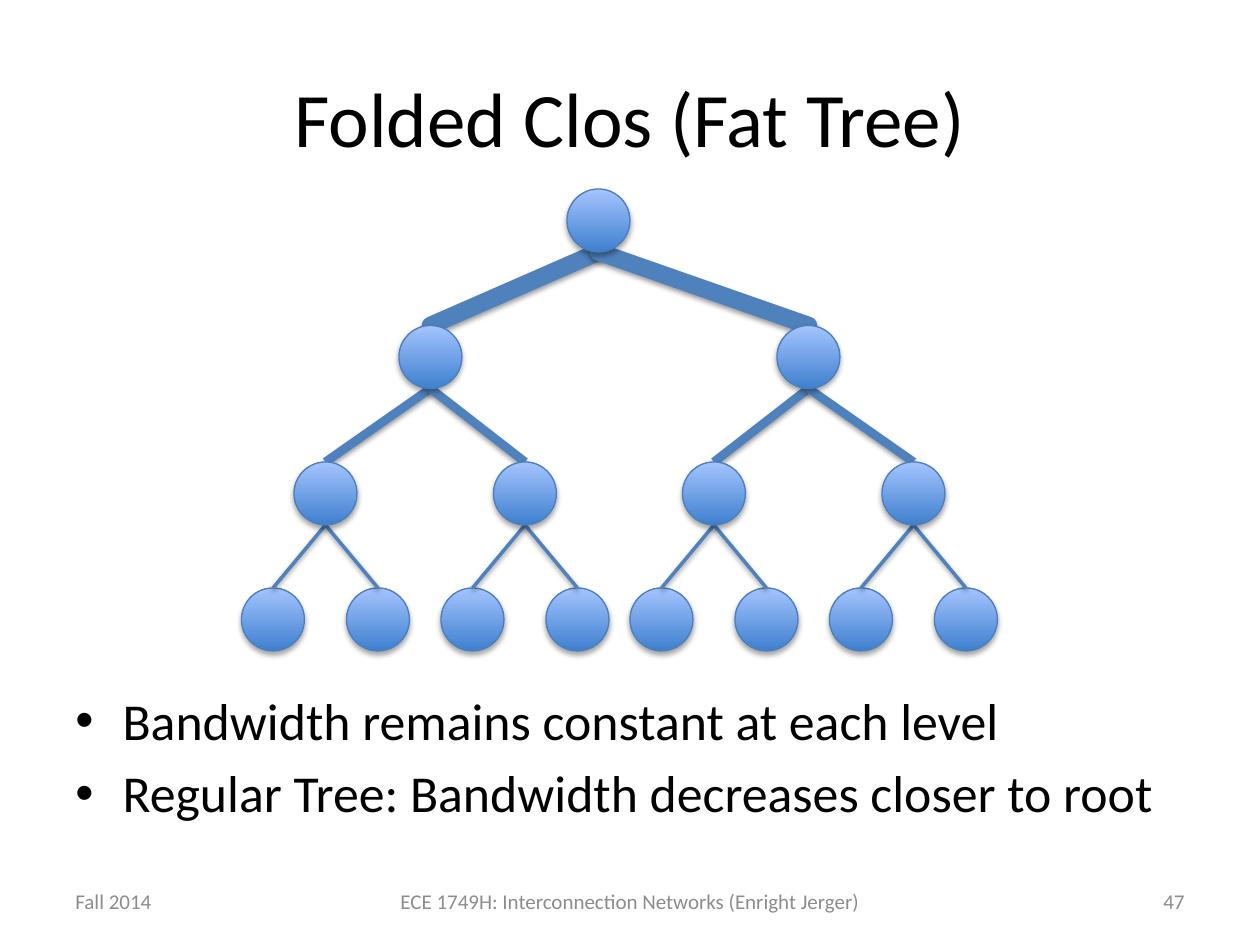
from lxml import etree
from pptx import Presentation
from pptx import util as u
from pptx.dml.color import RGBColor
from pptx.enum import shapes, text
from pptx.oxml import ns

BLACK = RGBColor(0x00, 0x00, 0x00)
GREY = RGBColor(0x8C, 0x8C, 0x8C)
NODE_DARK = RGBColor(0x3F, 0x80, 0xCE)
NODE_LIGHT = RGBColor(0xA4, 0xC4, 0xFF)
NODE_LINE = RGBColor(0x4B, 0x7E, 0xBC)
LINK = RGBColor(0x4F, 0x81, 0xBD)
FONT = "Calibri"
NODE = 36


def add_text(tf, content, size=12, color=BLACK, align=text.PP_ALIGN.LEFT, first=True):
    p = tf.paragraphs[0] if first else tf.add_paragraph()
    p.alignment = align
    r = p.add_run()
    r.text = content
    r.font.size, r.font.name = u.Pt(size), FONT
    r.font.color.rgb = color
    return p


def add_box(s, box, anchor):
    tf = s.shapes.add_textbox(*map(u.Pt, box)).text_frame
    tf.word_wrap = True
    tf.vertical_anchor = anchor
    return tf


def add_shadow(sp, distance, alpha):
    effects = etree.SubElement(sp._element.spPr, ns.qn("a:effectLst"))
    shadow = etree.SubElement(
        effects, ns.qn("a:outerShdw"), blurRad=str(u.Pt(3.1)),
        dist=str(u.Pt(distance)), dir="5400000", rotWithShape="0")
    color = etree.SubElement(shadow, ns.qn("a:srgbClr"), val=str(BLACK))
    etree.SubElement(color, ns.qn("a:alpha"), val=str(alpha * 1000))


def add_node(s, center, top):
    sp = s.shapes.add_shape(
        shapes.MSO_SHAPE.OVAL, u.Pt(center - NODE / 2), u.Pt(top), u.Pt(NODE), u.Pt(NODE))
    sp.fill.gradient()
    sp.fill.gradient_angle = 90
    for stop, position, color in zip(sp.fill.gradient_stops, (0, 1), (NODE_DARK, NODE_LIGHT)):
        stop.position = position
        stop.color.rgb = color
    sp.line.color.rgb = NODE_LINE
    sp.line.width = u.Pt(0.75)
    add_shadow(sp, 1.8, 35)


def add_link(s, child, parent, width):
    (x1, y1), (x2, y2) = child, parent
    c = s.shapes.add_connector(
        shapes.MSO_CONNECTOR.STRAIGHT, u.Pt(x1), u.Pt(y1), u.Pt(x2), u.Pt(y2 + NODE))
    c.line.color.rgb = LINK
    c.line.width = u.Pt(width)
    if width == 10:
        c.line._get_or_add_ln().set("cap", "rnd")
    add_shadow(c, 1.6, 38)


def add_tree(s, box):
    left, top, _, _ = box
    inner = (48, 162, 270, 384)
    centers = [(204,), (108, 324), inner, [x + d for x in inner for d in (-30, 30)]]
    levels = [[(left + x, top + y) for x in row]
              for row, y in zip(centers, (0, 78, 156, 228))]
    for leaf in levels[-1]:
        add_node(s, *leaf)
    for depth, width in ((3, 2), (2, 5), (1, 10)):
        for i, child in enumerate(levels[depth]):
            add_link(s, child, levels[depth - 1][i // 2], width)
    for level in levels[:-1]:
        for node in level:
            add_node(s, *node)


def add_title(s, box):
    sp = s.shapes.title
    sp.left, sp.top, sp.width, sp.height = map(u.Pt, box)
    sp.text_frame.vertical_anchor = text.MSO_ANCHOR.MIDDLE
    add_text(sp.text_frame, "Folded Clos (Fat Tree)", size=44, align=text.PP_ALIGN.CENTER)


def add_bullets(s, box):
    tf = add_box(s, box, text.MSO_ANCHOR.TOP)
    items = ("Bandwidth remains constant at each level",
             "Regular Tree: Bandwidth decreases closer to root")
    for i, item in enumerate(items):
        p = add_text(tf, item, size=29.6, first=i == 0)
        p.space_before = u.Pt(5.9)
        pPr = p._p.get_or_add_pPr()
        pPr.set("marL", str(u.Pt(27)))
        pPr.set("indent", str(-u.Pt(27)))
        etree.SubElement(pPr, ns.qn("a:buFont"), typeface="Arial")
        etree.SubElement(pPr, ns.qn("a:buChar"), char="•")


def add_footer(s, box):
    left, top, width, height = box
    side = 168
    parts = (
        ("Fall 2014", left, side, text.PP_ALIGN.LEFT),
        ("ECE 1749H: Interconnection Networks (Enright Jerger)",
         left + side, width - 2 * side, text.PP_ALIGN.CENTER),
        ("47", left + width - side, side, text.PP_ALIGN.RIGHT),
    )
    for content, x, w, align in parts:
        tf = add_box(s, (x, top, w, height), text.MSO_ANCHOR.MIDDLE)
        add_text(tf, content, color=GREY, align=align)


def main():
    prs = Presentation()
    prs.slide_width, prs.slide_height = u.Pt(720), u.Pt(540)
    s = prs.slides.add_slide(prs.slide_layouts[5])
    add_title(s, (36, 21.6, 648, 90))
    add_bullets(s, (36, 390, 648, 114))
    add_tree(s, (138, 108, 432, 264))
    add_footer(s, (36, 500.5, 648, 28.75))
    prs.save("out.pptx")


if __name__ == "__main__":
    main()
